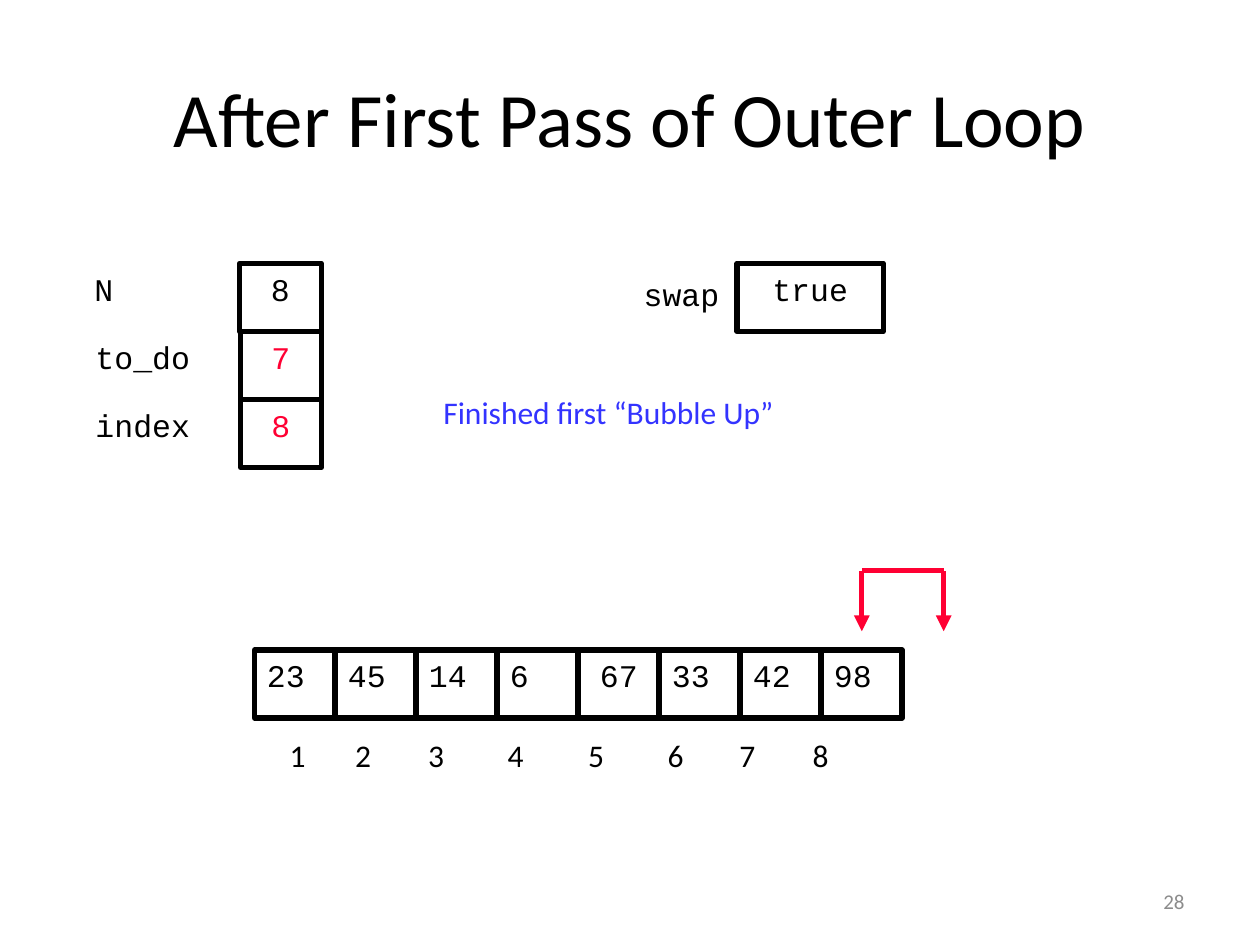
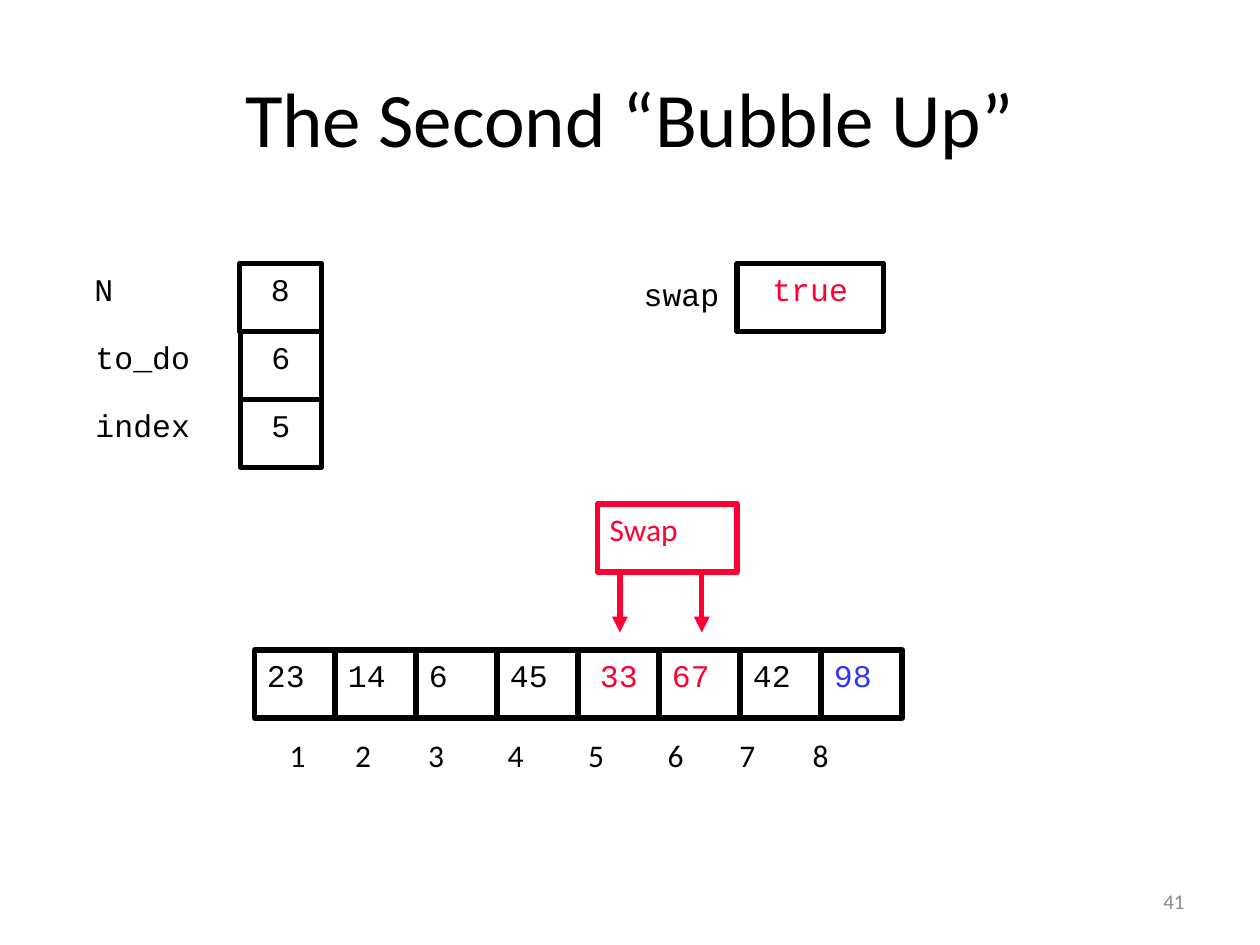
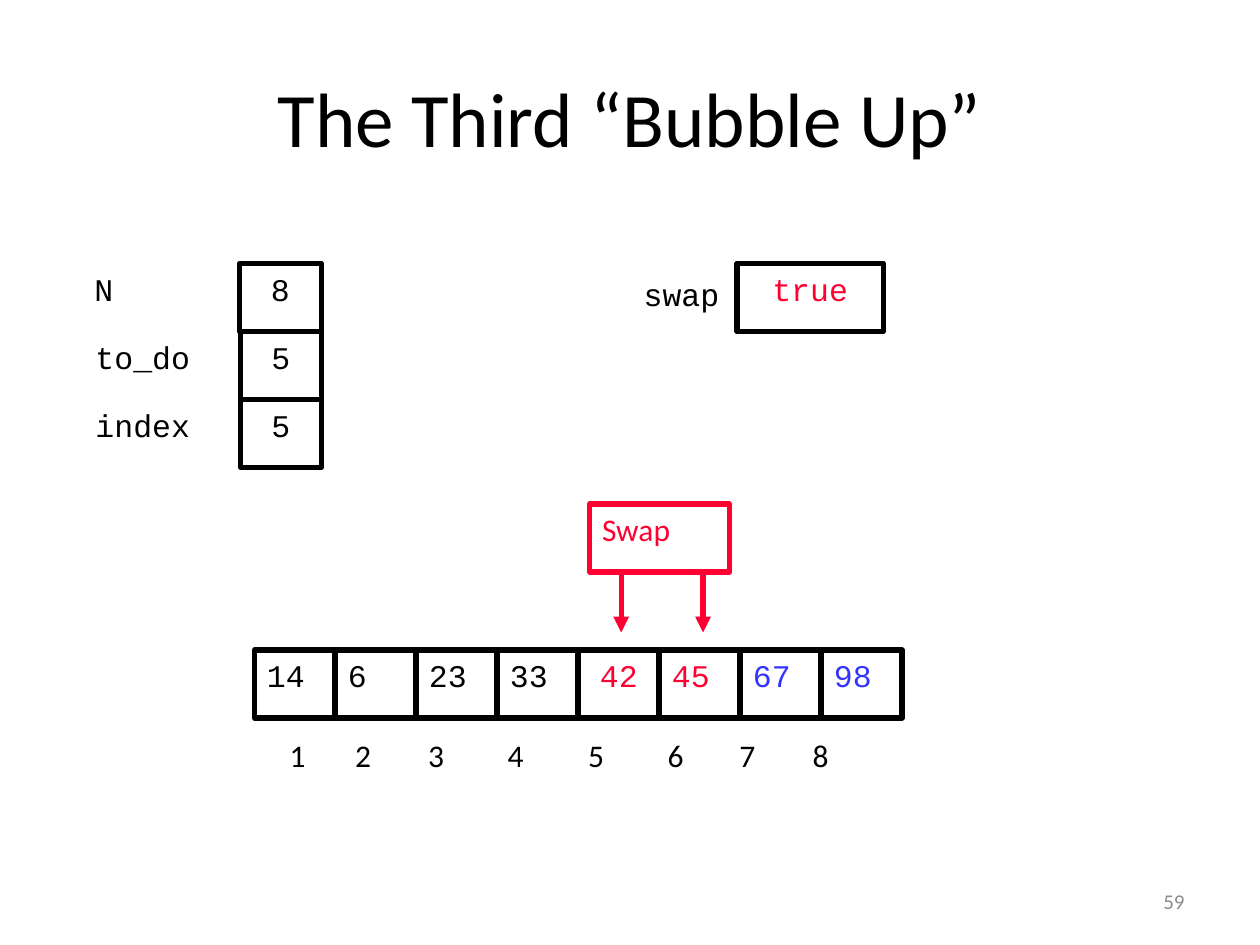
from lxml.etree import SubElement
from pptx import Presentation
from pptx.dml.color import RGBColor
from pptx.enum.shapes import MSO_CONNECTOR, MSO_SHAPE
from pptx.enum.text import MSO_ANCHOR, PP_ALIGN
from pptx.oxml.ns import qn
from pptx.util import Inches, Pt

COLORS = {"ink": "000000", "active": "FF0033", "done": "3333FF", "muted": "8C8C8C"}
SANS, MONO = "Calibri", "Courier New"
ROW_H = 0.54
VARS_TOP = 2.09
CELL_W = 0.64
ARRAY_LEFT, ARRAY_TOP = 2.02, 5.16
PITCH = 4.5 / 7
INDEX_TABS = (0.52, 1.1, 1.73, 2.37, 3.0, 3.57, 4.15)

SLIDES = [
    dict(title="After First Pass of Outer Loop", number=28,
         todo="7", index="8", counter_color="active", flag_color="ink",
         values=(23, 45, 14, 6, 67, 33, 42, 98), active=(), done=(),
         bracket=(6.84, 4.53), note="Finished first “Bubble Up”"),
    dict(title="The Second “Bubble Up”", number=41,
         todo="6", index="5", counter_color="ink", flag_color="active",
         values=(23, 14, 6, 45, 33, 67, 42, 98), active=(4, 5), done=(7,),
         bracket=(4.92, 4.54), swap_left=4.74),
    dict(title="The Third “Bubble Up”", number=59,
         todo="5", index="5", counter_color="ink", flag_color="active",
         values=(14, 6, 23, 33, 42, 45, 67, 98), active=(4, 5), done=(6, 7),
         bracket=(4.93, 4.54), swap_left=4.68),
]


def rgb(name):
    return RGBColor.from_string(COLORS[name])


def write(shape, text, font, color, size=18, align=PP_ALIGN.LEFT,
          anchor=MSO_ANCHOR.TOP, wrap=False):
    tf = shape.text_frame
    tf.text = text
    tf.word_wrap = wrap
    tf.vertical_anchor = anchor
    p = tf.paragraphs[0]
    p.alignment = align
    for r in p.runs:
        r.font.name = font
        r.font.size = Pt(size)
        r.font.color.rgb = rgb(color)


def add_text(s, box, text, font=SANS, color="ink", **style):
    shape = s.shapes.add_textbox(*map(Inches, box))
    write(shape, text, font, color, **style)
    return shape


def add_box(s, box, text, font=MONO, color="ink", line="ink", align=PP_ALIGN.CENTER):
    shape = s.shapes.add_shape(MSO_SHAPE.RECTANGLE, *map(Inches, box))
    shape.shadow.inherit = False
    shape.fill.background()
    shape.line.color.rgb = rgb(line)
    shape.line.width = Pt(3)
    write(shape, text, font, color, align=align)


def add_line(group, start, end, arrow=False):
    line = group.shapes.add_connector(MSO_CONNECTOR.STRAIGHT, *map(Inches, start + end))
    line.line.color.rgb = rgb("active")
    line.line.width = Pt(3)
    if arrow:
        SubElement(line.line._get_or_add_ln(), qn("a:headEnd"), type="triangle")
    SubElement(line._element.spPr, qn("a:effectLst"))


def add_bracket(s, left, top):
    right, bottom = left + 0.65, top + 0.48
    group = s.shapes.add_group_shape()
    for x in (left, right):
        add_line(group, (x, bottom), (x, top), arrow=True)
    add_line(group, (left, top), (right, top))


def add_frame(s, title, number):
    add_text(s, (0.5, 0.3, 9, 1.25), title, size=44, align=PP_ALIGN.CENTER,
             anchor=MSO_ANCHOR.MIDDLE, wrap=True)
    add_text(s, (7.17, 6.95, 2.33, 0.4), str(number), color="muted", size=12,
             align=PP_ALIGN.RIGHT, anchor=MSO_ANCHOR.MIDDLE, wrap=True)


def add_variables(s, todo, index, counter_color, flag_color):
    rows = (("N", "8", "ink", 0.65, 1.9, 0.65),
            ("to_do", todo, counter_color, 0.66, 1.91, CELL_W),
            ("index", index, counter_color, 0.66, 1.91, CELL_W))
    for i, (name, value, color, label_left, left, width) in enumerate(rows):
        top = VARS_TOP + i * ROW_H
        add_text(s, (label_left, top, 1.2, 0.5), name, MONO)
        add_box(s, (left, top, width, ROW_H), value, color=color)
    add_text(s, (5.01, 2.13, 1.41, 0.4), "swap", MONO)
    add_box(s, (5.85, VARS_TOP, 1.16, ROW_H), "true", color=flag_color)


def add_array(s, values, active, done):
    for i, value in enumerate(values):
        color = "active" if i in active else "done" if i in done else "ink"
        align = PP_ALIGN.CENTER if i == 4 else PP_ALIGN.LEFT
        add_box(s, (ARRAY_LEFT + i * PITCH, ARRAY_TOP, CELL_W, ROW_H), str(value),
                color=color, align=align)
    labels = "\t".join(str(i + 1) for i in range(len(values)))
    shape = add_text(s, (2.2, 5.79, 4.82, 0.4), labels, wrap=True)
    tabs = SubElement(shape.text_frame.paragraphs[0]._p.get_or_add_pPr(), qn("a:tabLst"))
    for pos in INDEX_TABS:
        SubElement(tabs, qn("a:tab"), pos=str(Inches(pos)), algn="l")


def add_slide(prs, data):
    s = prs.slides.add_slide(prs.slide_layouts[6])
    add_frame(s, data["title"], data["number"])
    add_array(s, data["values"], data["active"], data["done"])
    add_variables(s, data["todo"], data["index"], data["counter_color"], data["flag_color"])
    add_bracket(s, *data["bracket"])
    if "note" in data:
        add_text(s, (3.42, 3.07, 4.38, 0.5), data["note"], color="done")
    if "swap_left" in data:
        add_box(s, (data["swap_left"], 4, 1.11, ROW_H), "Swap", SANS,
                color="active", line="active", align=PP_ALIGN.LEFT)


def main():
    prs = Presentation()
    prs.slide_width, prs.slide_height = Inches(10), Inches(7.5)
    for data in SLIDES:
        add_slide(prs, data)
    prs.save("out.pptx")


main()
